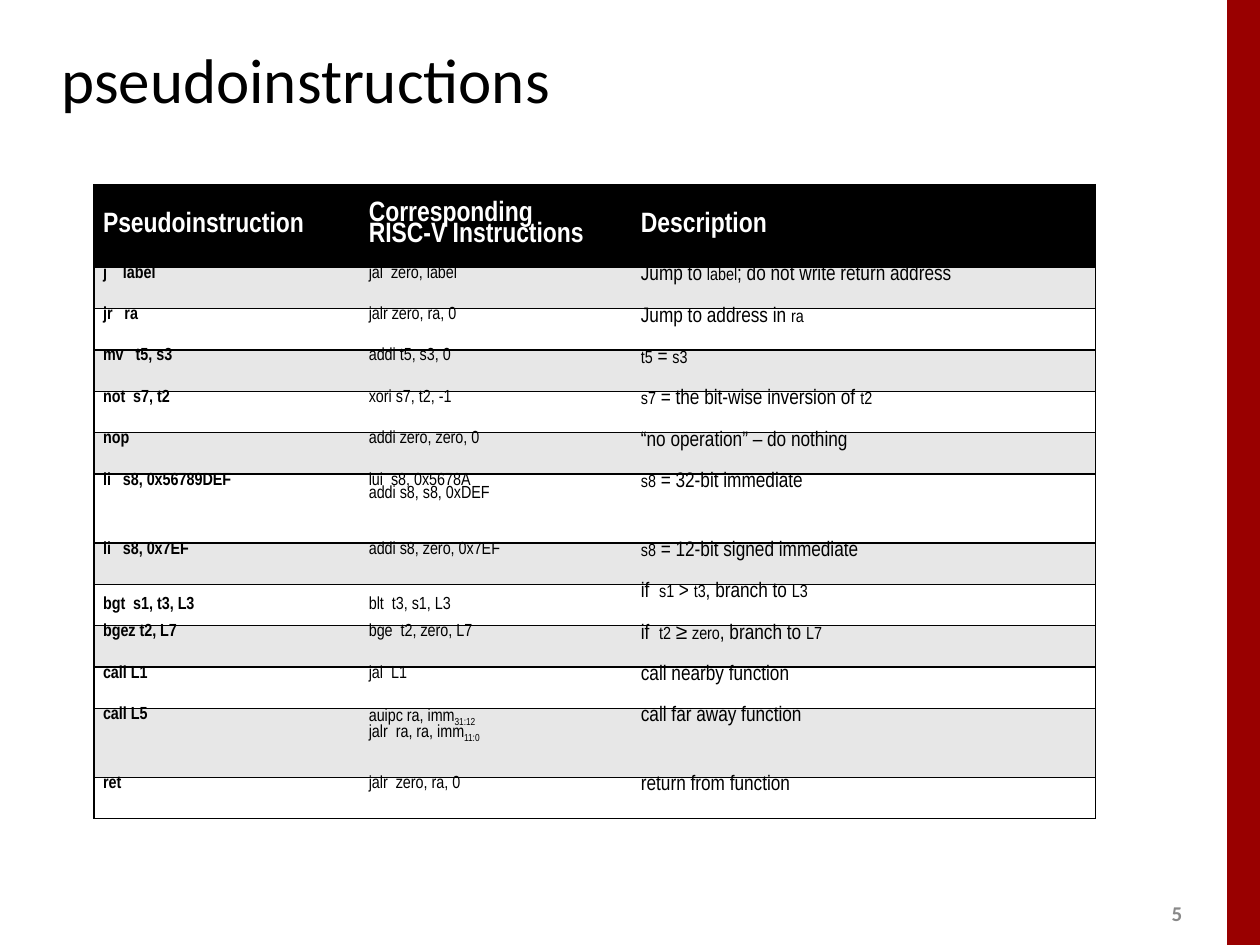
from dataclasses import dataclass

from lxml import etree
from pptx import Presentation
from pptx import util as u
from pptx.dml.color import RGBColor
from pptx.enum import shapes, text
from pptx.oxml import ns


@dataclass(frozen=True)
class Theme:
    black: str = "000000"
    white: str = "FFFFFF"
    band: str = "E7E7E7"
    accent: str = "990000"
    muted: str = "898989"
    heading_font: str = "Calibri"
    table_font: str = "Arial Narrow"
    title_size: float = 36
    header_size: float = 16
    prose_size: float = 12
    code_size: float = 10
    number_size: float = 12
    header_spacing: float = 0.8
    body_spacing: float = 0.85


@dataclass(frozen=True)
class Instruction:
    """Backticks mark subscripts in the expansion and code in the description."""
    pseudo: str
    expansion: str
    description: str
    height: float = 23.66
    middle: bool = False


THEME = Theme()
TALL = 39.4
HEADER_HEIGHT = 47.2
COLUMN_WIDTHS = (151.9, 155.5, 265)
HEADERS = ("Pseudoinstruction", "Corresponding \nRISC-V Instructions", "Description")
INSTRUCTIONS = (
    Instruction("j    label", "jal  zero, label", "Jump to `label`; do not write return address"),
    Instruction("jr   ra", "jalr zero, ra, 0", "Jump to address in `ra`"),
    Instruction("mv   t5, s3", "addi t5, s3, 0", "`t5` = `s3`"),
    Instruction("not  s7, t2", "xori s7, t2, -1", "`s7` = the bit-wise inversion of `t2`"),
    Instruction("nop", "addi zero, zero, 0", "“no operation” – do nothing"),
    Instruction("li   s8, 0x56789DEF", "lui  s8, 0x5678A\naddi s8, s8, 0xDEF",
                "`s8` = 32-bit immediate", TALL),
    Instruction("li   s8, 0x7EF", "addi s8, zero, 0x7EF", "`s8` = 12-bit signed immediate"),
    Instruction("bgt  s1, t3, L3", "blt  t3, s1, L3",
                "if  `s1` > `t3`, branch to `L3`", middle=True),
    Instruction("bgez t2, L7", "bge  t2, zero, L7", "if  `t2` ≥ `zero`, branch to `L7`"),
    Instruction("call L1", "jal  L1", "call nearby function"),
    Instruction("call L5", "auipc ra, imm`31:12`\njalr  ra, ra, imm`11:0`",
                "call far away function", TALL),
    Instruction("ret", "jalr  zero, ra, 0", "return from function"),
)


def set_font(font, name: str, size: float, color: str, bold: bool = False) -> None:
    font.name, font.size, font.bold = name, u.Pt(size), bold
    font.color.rgb = RGBColor.from_string(color)


def add_label(slide, box: tuple, words: str, size: float, color: str, bold: bool = False) -> None:
    frame = slide.shapes.add_textbox(*map(u.Pt, box)).text_frame
    frame.word_wrap = True
    frame.vertical_anchor = text.MSO_ANCHOR.MIDDLE
    frame.text = words
    set_font(frame.paragraphs[0].font, THEME.heading_font, size, color, bold)


def set_borders(cell, visible: str) -> None:
    properties = cell._tc.get_or_add_tcPr()
    for side in "LRTB":
        line = etree.SubElement(properties, ns.qn(f"a:ln{side}"), w=str(u.Pt(1)))
        if side in visible:
            fill = etree.SubElement(line, ns.qn("a:solidFill"))
            etree.SubElement(fill, ns.qn("a:srgbClr"), val=THEME.black)
        else:
            etree.SubElement(line, ns.qn("a:noFill"))


def fill_cell(cell, column: int, words: str, fill: str, header: bool, middle: bool) -> None:
    # Cell frame
    set_borders(cell, "TB" + {0: "L", len(HEADERS) - 1: "R"}.get(column, ""))
    cell.fill.solid()
    cell.fill.fore_color.rgb = RGBColor.from_string(fill)
    cell.margin_left = cell.margin_right = u.Pt(5.2)
    cell.margin_top = cell.margin_bottom = 0
    cell.vertical_anchor = text.MSO_ANCHOR.MIDDLE if middle else text.MSO_ANCHOR.TOP

    # Cell text
    prose = column == 2
    size = THEME.header_size if header else THEME.prose_size if prose else THEME.code_size
    color = THEME.white if header else THEME.black
    for index, content in enumerate(words.split("\n")):
        frame = cell.text_frame
        paragraph = frame.add_paragraph() if index else frame.paragraphs[0]
        paragraph.line_spacing = THEME.header_spacing if header else THEME.body_spacing
        set_font(paragraph.font, THEME.table_font, size, color, header or column == 0)
        for position, part in enumerate(content.split("`")):
            if not part:
                continue
            run = paragraph.add_run()
            run.text = part
            if position % 2 and prose:
                run.font.size = u.Pt(THEME.code_size)
            elif position % 2:
                run._r.get_or_add_rPr().set("baseline", "-25000")


def add_instruction_table(slide) -> None:
    heights = (HEADER_HEIGHT, *(item.height for item in INSTRUCTIONS))
    table = slide.shapes.add_table(
        len(heights), len(HEADERS), u.Pt(53.7), u.Pt(105.5),
        u.Pt(sum(COLUMN_WIDTHS)), u.Pt(sum(heights))).table
    table.horz_banding = False
    for column, width in zip(table.columns, COLUMN_WIDTHS):
        column.width = u.Pt(width)
    for row, height in zip(table.rows, heights):
        row.height = u.Pt(height)
    for column, words in enumerate(HEADERS):
        fill_cell(table.cell(0, column), column, words, THEME.black, True, True)
    for row, item in enumerate(INSTRUCTIONS, 1):
        fill = THEME.band if row % 2 else THEME.white
        for column, words in enumerate((item.pseudo, item.expansion, item.description)):
            fill_cell(table.cell(row, column), column, words, fill, False,
                      item.middle and column < 2)


presentation = Presentation()
presentation.slide_width, presentation.slide_height = u.Pt(720), u.Pt(540)
slide = presentation.slides.add_slide(presentation.slide_layouts[6])

# Side bar
bar = slide.shapes.add_shape(shapes.MSO_SHAPE.RECTANGLE, u.Pt(701.3), 0, u.Pt(18.7), u.Pt(540))
bar.shadow.inherit = False
bar.fill.solid()
bar.fill.fore_color.rgb = RGBColor.from_string(THEME.accent)
bar.line.fill.background()

# Slide number, title and table
add_label(slide, (662.4, 511.2, 28.8, 21.6), "5", THEME.number_size, THEME.muted, True)
add_label(slide, (28.1, 15.1, 597.6, 59.8), "pseudoinstructions", THEME.title_size, THEME.black)
add_instruction_table(slide)

presentation.save("out.pptx")
